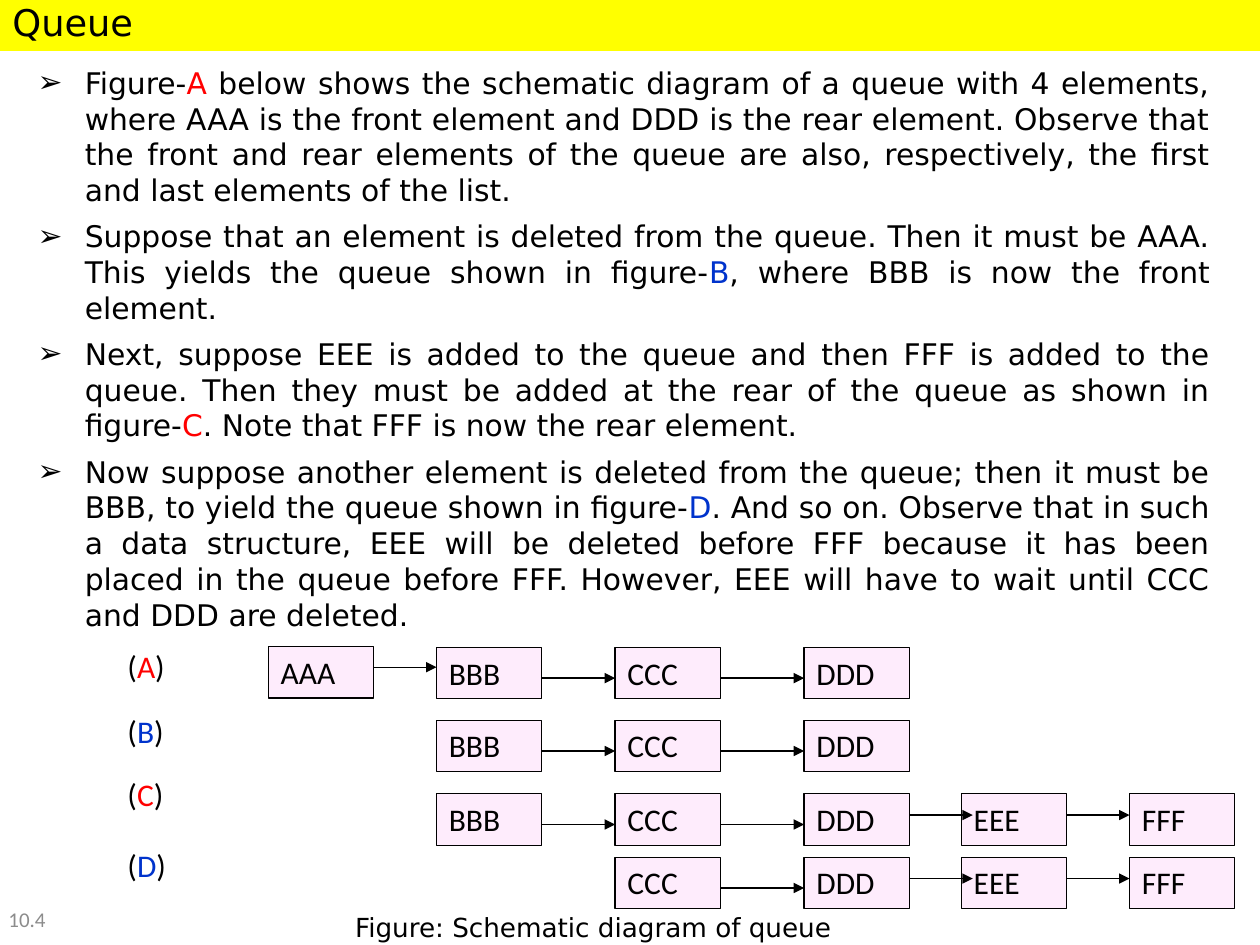
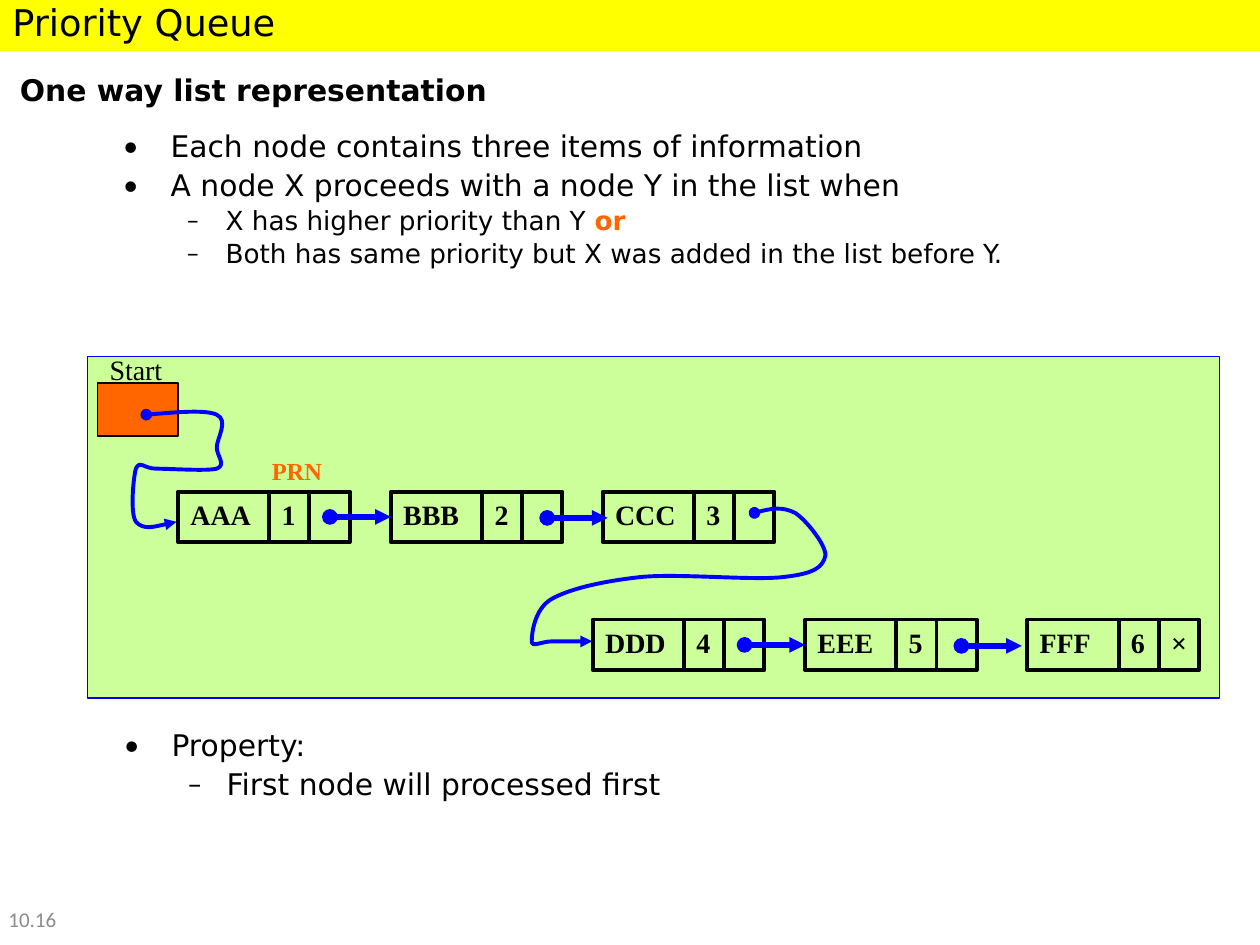
from dataclasses import dataclass
from itertools import pairwise

from lxml import etree
from pptx import Presentation
from pptx import util as u
from pptx.dml.color import RGBColor
from pptx.enum import shapes, text
from pptx.oxml.ns import qn

HEX = {
    "ink": "000000", "red": "FF0000", "blue": "0033CC", "gray": "8C8C8C",
    "band": "FFFF00", "pink": "FEECFC", "lime": "CCFF99",
    "fire": "FF6600", "link": "0000FF",
}
SANS, BODY, SERIF = "DejaVu Sans", "Calibri", "Times New Roman"
RECT = shapes.MSO_SHAPE.RECTANGLE


@dataclass
class Box:
    x: float
    y: float
    w: float
    h: float

    def cm(self) -> list:
        return [u.Cm(v) for v in (self.x, self.y, self.w, self.h)]


@dataclass
class Face:
    font: str
    size: float
    color: str = "ink"
    bold: bool = False


@dataclass
class Para:
    """Pieces of words between bars take the accent colour."""
    words: str
    face: Face
    accent: str = "ink"
    strong: bool = False
    bullet: str = ""
    sign: str = BODY
    left: float = 0
    hang: float = 0
    fmt: dict | None = None


@dataclass
class Pen:
    color: str
    width: float
    head: str = ""
    tail: str = ""


@dataclass
class Queue:
    label: str
    accent: str
    top: float
    label_top: float
    names: list[str]


@dataclass
class Node:
    name: str
    rank: str
    x: float
    y: float
    mark: str = ""


# Shared drawing helpers

def rgb(name: str) -> RGBColor:
    return RGBColor.from_string(HEX[name])


def apply(obj, fmt: dict) -> None:
    for key, value in fmt.items():
        setattr(obj, key, value)


def write(shape, paras: list[Para], middle: bool = False) -> None:
    frame = shape.text_frame
    anchor = text.MSO_ANCHOR.MIDDLE if middle else text.MSO_ANCHOR.TOP
    apply(frame, {"word_wrap": True, "vertical_anchor": anchor})
    for i, para in enumerate(paras):
        line = frame.add_paragraph() if i else frame.paragraphs[0]
        if para.bullet:
            props = line._p.get_or_add_pPr()
            props.set("marL", str(u.Cm(para.left)))
            props.set("indent", str(-u.Cm(para.hang)))
            etree.SubElement(props, qn("a:buFont"), typeface=para.sign)
            etree.SubElement(props, qn("a:buChar"), char=para.bullet)
        apply(line, {"alignment": text.PP_ALIGN.LEFT} | (para.fmt or {}))
        if i == 0:
            line.space_before = u.Pt(0)
        face = para.face
        for j, piece in enumerate(para.words.split("|")):
            if not piece:
                continue
            lit = j % 2 == 1
            run = line.add_run()
            run.text = piece
            apply(run.font, {"name": face.font, "size": u.Pt(face.size),
                             "bold": face.bold or (lit and para.strong)})
            run.font.color.rgb = rgb(para.accent if lit else face.color)


def label(slide, box: Box, *paras: Para, middle: bool = False) -> None:
    write(slide.shapes.add_textbox(*box.cm()), list(paras), middle)


def stroke(shape, pen: Pen) -> None:
    shape.line.color.rgb = rgb(pen.color)
    shape.line.width = u.Pt(pen.width)
    for tag, kind in (("a:headEnd", pen.head), ("a:tailEnd", pen.tail)):
        if kind:
            etree.SubElement(shape.line._get_or_add_ln(), qn(tag), type=kind)


def block(slide, box: Box, fill: str = "", pen: Pen | None = None,
          para: Para | None = None):
    shape = slide.shapes.add_shape(RECT, *box.cm())
    shape.shadow.inherit = False
    if fill:
        shape.fill.solid()
        shape.fill.fore_color.rgb = rgb(fill)
    else:
        shape.fill.background()
    if pen:
        stroke(shape, pen)
    else:
        shape.line.fill.background()
    if para:
        write(shape, [para])
    return shape


def arrow(slide, x: float, y: float, end: float, pen: Pen):
    line = slide.shapes.add_connector(
        shapes.MSO_CONNECTOR.STRAIGHT, u.Cm(x), u.Cm(y), u.Cm(end), u.Cm(y))
    stroke(line, pen)
    etree.SubElement(line._element.spPr, qn("a:effectLst"))
    return line


def curve(slide, knots: list[tuple[float, float]], pen: Pen) -> None:
    """Draw a chain of cubic curves: a start, then three points for each."""
    spots = [(u.Cm(x), u.Cm(y)) for x, y in knots]
    pencil = slide.shapes.build_freeform(*spots[0])
    pencil.add_line_segments(spots[1:], close=False)
    shape = pencil.convert_to_shape()
    shape.shadow.inherit = False
    shape.fill.background()
    stroke(shape, pen)
    # Join each three line steps into one cubic step
    steps = list(shape._element.iter(qn("a:lnTo")))
    for i in range(0, len(steps), 3):
        bend = etree.Element(qn("a:cubicBezTo"))
        steps[i].addprevious(bend)
        for step in steps[i:i + 3]:
            bend.append(step[0])
            step.getparent().remove(step)


def start(deck, title: str, number: str):
    """Add a slide with its title band and number."""
    slide = deck.slides.add_slide(deck.slide_layouts[6])
    block(slide, Box(0, -0.12, 25.4, 1.15), "band",
          para=Para(title, Face(SANS, 21)))
    label(slide, Box(-0.08, 18.01, 2.34, 1.04),
          Para(number, Face(BODY, 12, "gray")), middle=True)
    return slide


# Slide with the plain queue

STORY = [
    ("Figure-|A| below shows the schematic diagram of a queue with 4 elements, "
     "where AAA is the front element and DDD is the rear element. Observe that "
     "the front and rear elements of the queue are also, respectively, the "
     "first and last elements of the list.", "red"),
    ("Suppose that an element is deleted from the queue. Then it must be AAA. "
     "This yields the queue shown in figure-|B|, where BBB is now the front "
     "element.", "blue"),
    ("Next, suppose EEE is added to the queue and then FFF is added to the "
     "queue. Then they must be added at the rear of the queue as shown in "
     "figure-|C|. Note that FFF is now the rear element.", "red"),
    ("Now suppose another element is deleted from the queue; then it must be "
     "BBB, to yield the queue shown in figure-|D|. And so on. Observe that in "
     "such a data structure, EEE will be deleted before FFF because it has "
     "been placed in the queue before FFF. However, EEE will have to wait "
     "until CCC and DDD are deleted.", "blue"),
]
COLS = {"AAA": 5.41, "BBB": 8.8, "CCC": 12.4,
        "DDD": 16.21, "EEE": 19.38, "FFF": 22.77}
QUEUES = [
    Queue("A", "red", 13.05, 12.91, ["AAA", "BBB", "CCC", "DDD"]),
    Queue("B", "blue", 14.52, 14.22, ["BBB", "CCC", "DDD"]),
    Queue("C", "red", 16, 15.49, ["BBB", "CCC", "DDD", "EEE", "FFF"]),
    Queue("D", "blue", 17.28, 16.94, ["CCC", "DDD", "EEE", "FFF"]),
]


def queue_slide(deck) -> None:
    slide = start(deck, "Queue", "10.4")
    fmt = {"alignment": text.PP_ALIGN.JUSTIFY,
           "space_before": u.Pt(3), "space_after": u.Pt(3)}
    label(slide, Box(0.51, 1.18, 24.14, 11.61), *(
        Para(words, Face(SANS, 17), accent, bullet="➢", sign=SANS,
             left=0.95, hang=0.95, fmt=fmt) for words, accent in STORY))

    # Queue rows
    face, wide = Face(BODY, 18), 2.12
    pen = Pen("ink", 0.75, tail="triangle")
    for row in QUEUES:
        label(slide, Box(2.32, row.label_top, 2.54, 1.02),
              Para(f"(|{row.label}|)", face, row.accent))
        for name in row.names:
            lift = 0.02 if name == "AAA" else 0
            block(slide, Box(COLS[name], row.top - lift, wide, 1.04), "pink",
                  Pen("ink", 0.75), Para(name, face))
        for one, two in pairwise(row.names):
            drop = {"BBB": 0.4, "CCC": 0.62, "DDD": 0.62}.get(two, 0.43)
            reach = 0.23 if two == "EEE" else 0
            arrow(slide, COLS[one] + wide, row.top + drop,
                  COLS[two] + reach, pen)
    label(slide, Box(6.91, 18.24, 11.73, 0.89),
          Para("Figure: Schematic diagram of queue", Face(SANS, 15)))


# Slide with the priority queue

NODES = [
    [Node("AAA", "1", 3.59, 9.91), Node("BBB", "2", 7.88, 9.91),
     Node("CCC", "3", 12.15, 9.91)],
    [Node("DDD", "4", 11.95, 12.49), Node("EEE", "5", 16.23, 12.49),
     Node("FFF", "6", 20.71, 12.49, "×")],
]
TURN = [
    (15.21, 10.34), (15.49, 10.26), (15.77, 10.21), (16.03, 10.34),
    (16.26, 10.49), (16.66, 11), (16.64, 11.2),
    (16.59, 11.43), (16.43, 11.56), (15.82, 11.63),
    (15.21, 11.71), (13.74, 11.56), (12.95, 11.63),
    (12.19, 11.71), (11.51, 11.86), (11.13, 12.07),
    (10.77, 12.27), (10.72, 12.78), (10.72, 12.93),
    (10.72, 13.06), (10.92, 12.93), (11.13, 12.93),
    (11.33, 12.93), (11.63, 12.93), (11.94, 12.93),
]
ENTRY = [
    (2.95, 8.36), (3.56, 8.31), (4.14, 8.26), (4.37, 8.36),
    (4.62, 8.48), (4.37, 8.84), (4.37, 9.02),
    (4.37, 9.19), (4.57, 9.37), (4.37, 9.45),
    (4.17, 9.5), (3.43, 9.45), (3.15, 9.45),
    (2.9, 9.45), (2.82, 9.27), (2.74, 9.45),
    (2.69, 9.63), (2.62, 10.34), (2.74, 10.52),
    (2.9, 10.69), (3.23, 10.59), (3.56, 10.52),
]


def point(words: str, size: float = 17, sub: bool = False) -> Para:
    left, hang = (2.06, 0.79) if sub else (0.95, 0.95)
    fmt = {"level": int(sub), "line_spacing": 0.9,
           "space_before": u.Pt(3.8 if size > 15 else 2.8)}
    return Para(words, Face(SANS, size), "fire", True,
                "–" if sub else "•", BODY, left, hang, fmt)


def draw_node(slide, node: Node):
    """Draw the name, rank and pointer cells; return the name cell."""
    cells, x = [], node.x
    for words, wide in ((node.name, 1.84), (node.rank, 0.81), (node.mark, 0.81)):
        para = Para(words, Face(SERIF, 16, bold=True)) if words else None
        cells.append(block(slide, Box(x, node.y, wide, 1.02),
                           pen=Pen("ink", 2.25), para=para))
        x += wide
    return cells[0]


def priority_slide(deck) -> None:
    slide = start(deck, "Priority Queue", "10.16")
    label(slide, Box(0.15, 1.09, 21.59, 1.45),
          Para("One way list representation", Face(SANS, 17, bold=True)),
          middle=True)
    label(slide, Box(2.24, 2.54, 21.59, 4.45),
          point("Each node contains three items of information"),
          point("A node X proceeds with a node Y in the list when"),
          point("X has higher priority than Y |or|", 15, True),
          point("Both has same priority but X was added in the list before Y.",
                15, True))

    # Linked list
    block(slide, Box(1.76, 7.19, 22.82, 6.88), "lime", Pen("link", 0.75))
    link = Pen("link", 3, "oval", "triangle")
    for row in NODES:
        heads = [draw_node(slide, node) for node in row]
        first, second, _ = row
        line = arrow(slide, first.x + 3.06, first.y + 0.51, second.x, link)
        line.end_connect(heads[1], 1)
        dot = second.x + 3.15
        arrow(slide, dot, second.y + 0.53, dot + 1.22, link)

    # Start pointer and bent links
    block(slide, Box(1.96, 7.72, 1.63, 1.07), "fire", Pen("ink", 0.75))
    for knots in (TURN, ENTRY):
        curve(slide, knots, Pen("link", 2.25, "oval", "triangle"))
    label(slide, Box(1.96, 6.99, 1.78, 0.94), Para("Start", Face(SERIF, 16)))
    label(slide, Box(5.23, 9.07, 1.83, 0.84),
          Para("PRN", Face(SERIF, 14, "fire", True)))

    label(slide, Box(2.26, 14.61, 21.59, 2.97),
          point("Property:"), point("First node will processed first", sub=True))


def main() -> None:
    deck = Presentation()
    apply(deck, {"slide_width": u.Cm(25.4), "slide_height": u.Cm(19.05)})
    queue_slide(deck)
    priority_slide(deck)
    deck.save("out.pptx")


if __name__ == "__main__":
    main()
